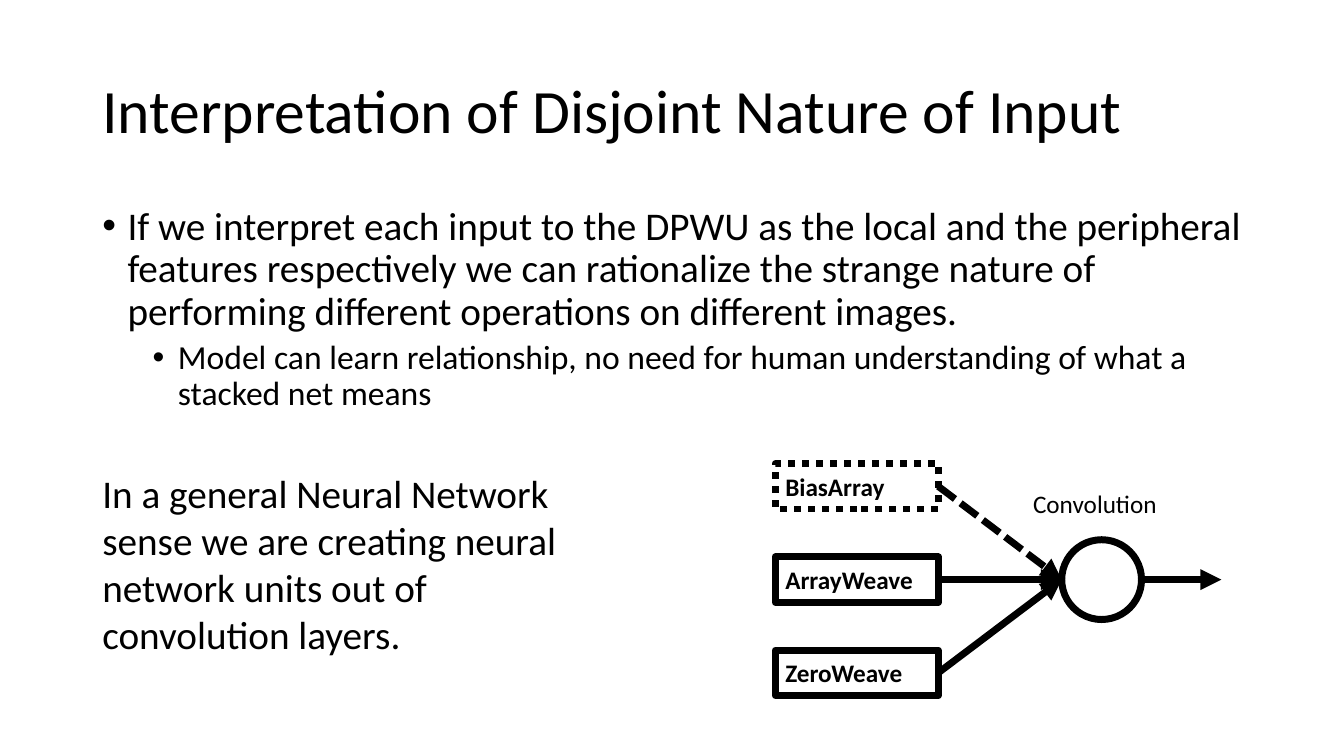
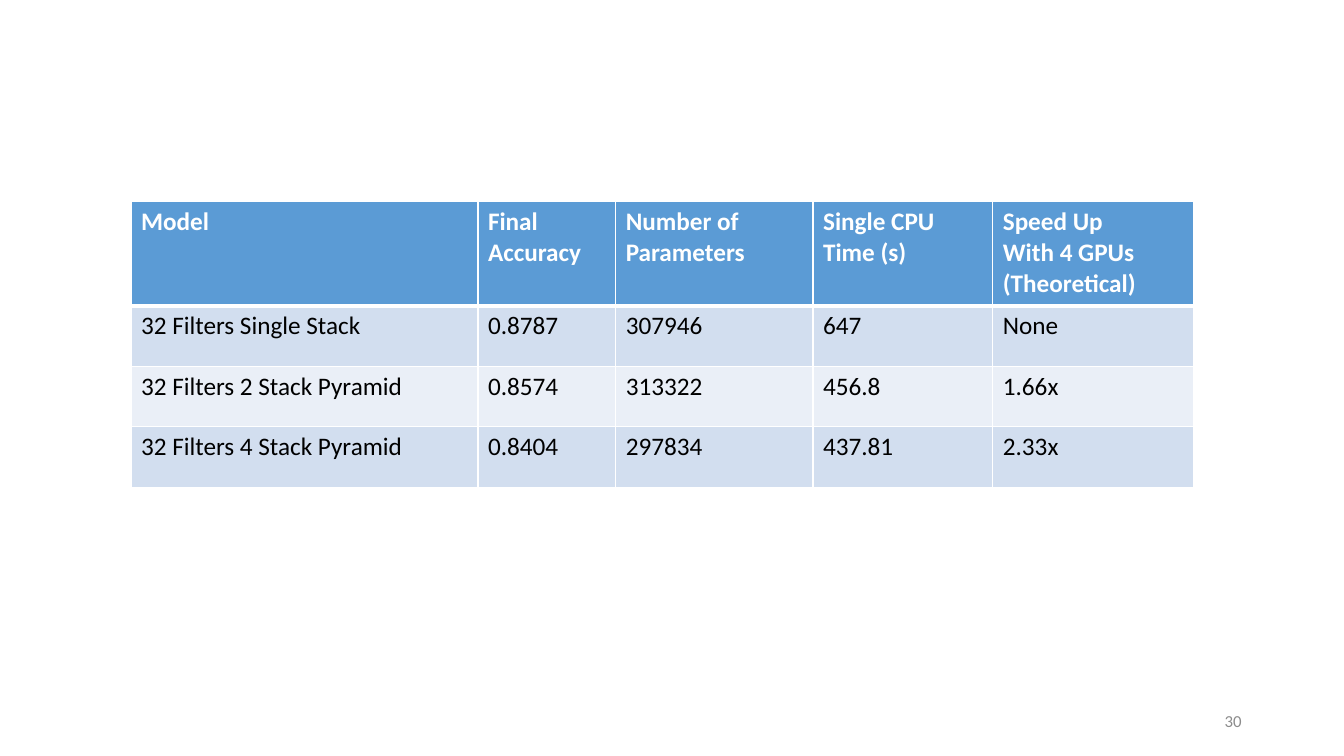
from lxml.etree import SubElement
from pptx import Presentation
from pptx.dml.color import RGBColor
from pptx.enum.dml import MSO_LINE
from pptx.enum.shapes import MSO_CONNECTOR, MSO_SHAPE
from pptx.enum.text import MSO_ANCHOR, PP_ALIGN
from pptx.oxml.ns import qn
from pptx.util import Inches, Pt

COLS, ROWS = 160, 90


def color(code):
    return RGBColor.from_string(code)


class Deck:
    font = "Calibri"
    ink, paper, gray = "000000", "FFFFFF", "8C8C8C"
    head, bands = "5B9BD5", ("D2DEEF", "EAEFF7")
    stroke = 5

    def __init__(self):
        self.prs = Presentation()
        self.prs.slide_width = Inches(13.33)
        self.prs.slide_height = Inches(7.5)

    def x(self, cols):
        return round(self.prs.slide_width * cols / COLS)

    def y(self, rows):
        return round(self.prs.slide_height * rows / ROWS)

    def area(self, left, top, width, height):
        return self.x(left), self.y(top), self.x(width), self.y(height)

    def page(self):
        self.slide = self.prs.slides.add_slide(self.prs.slide_layouts[6])

    def style(self, para, size, ink=None, bold=False):
        font = para.font
        font.name, font.size, font.bold = self.font, Pt(size), bold
        font.color.rgb = color(ink or self.ink)

    def text(self, area, words, size, ink=None, align=PP_ALIGN.LEFT,
             anchor=MSO_ANCHOR.TOP, lead=None):
        frame = self.slide.shapes.add_textbox(*self.area(*area)).text_frame
        frame.word_wrap = True
        frame.vertical_anchor = anchor
        para = frame.paragraphs[0]
        para.text, para.alignment, para.line_spacing = words, align, lead
        self.style(para, size, ink)
        return frame

    def title(self, words):
        self.text((11, 4.8, 138, 17.4), words, 44,
                  anchor=MSO_ANCHOR.MIDDLE, lead=0.9)

    def bullets(self, area, items):
        frame = self.text(area, "", 28)
        for i, (level, words) in enumerate(items):
            para = frame.add_paragraph() if i else frame.paragraphs[0]
            para.text, para.level, para.line_spacing = words, level, 0.9
            para.space_before = Pt(5 if level else 10)
            self.style(para, 28 - 4 * level)
            props = para._p.get_or_add_pPr()
            props.set("marL", str(Inches(0.25 + 0.5 * level)))
            props.set("indent", str(Inches(-0.25)))
            SubElement(props, qn("a:buFont")).set("typeface", "Arial")
            SubElement(props, qn("a:buChar")).set("char", "•")

    def number(self, words):
        self.text((113, 83.4, 36, 4.8), words, 12, self.gray,
                  PP_ALIGN.RIGHT, MSO_ANCHOR.MIDDLE)

    def pen(self, line, dash=None):
        line.color.rgb = color(self.ink)
        line.width = Pt(self.stroke)
        if dash:
            line.dash_style = dash

    def node(self, kind, area, words="", dash=None):
        shape = self.slide.shapes.add_shape(kind, *self.area(*area))
        shape.shadow.inherit = False
        shape.fill.background()
        self.pen(shape.line, dash)
        if words:
            frame = shape.text_frame
            frame.vertical_anchor = MSO_ANCHOR.MIDDLE
            para = frame.paragraphs[0]
            para.text, para.alignment = words, PP_ALIGN.LEFT
            self.style(para, 18, bold=True)

    def arrow(self, start, end, dash=None):
        link = self.slide.shapes.add_connector(
            MSO_CONNECTOR.STRAIGHT, self.x(start[0]), self.y(start[1]),
            self.x(end[0]), self.y(end[1]))
        self.pen(link.line, dash)
        SubElement(link.line._get_or_add_ln(), qn("a:tailEnd")).set("type", "triangle")
        SubElement(link._element.spPr, qn("a:effectLst"))

    def edge(self, cell, side, width):
        line = SubElement(cell._tc.get_or_add_tcPr(), qn("a:ln" + side))
        line.set("w", str(Pt(width)))
        fill = SubElement(line, qn("a:solidFill"))
        SubElement(fill, qn("a:srgbClr")).set("val", self.paper)

    def cell(self, cell, row, words):
        widths = {"L": 1, "R": 1, "T": 3 if row == 1 else 1, "B": 1 if row else 3}
        for side, width in widths.items():
            self.edge(cell, side, width)
        cell.fill.solid()
        cell.fill.fore_color.rgb = color(self.bands[(row - 1) % 2] if row else self.head)
        cell.text = words
        for para in cell.text_frame.paragraphs:
            self.style(para, 18, self.ink if row else self.paper, not row)

    def table(self, left, top, widths, heights, data):
        area = self.area(left, top, sum(widths), sum(heights))
        table = self.slide.shapes.add_table(len(heights), len(widths), *area).table
        for col, width in zip(table.columns, widths):
            col.width = self.x(width)
        for row, height in zip(table.rows, heights):
            row.height = self.y(height)
        for r, line in enumerate(data):
            for c, words in enumerate(line):
                self.cell(table.cell(r, c), r, words)


def network(deck):
    left, top, wide, high, step = 92.3, 55.2, 19.4, 5.4, 11.1
    right, mid = left + wide, top + step + high / 2
    hub, size = 126.4, 9.5
    inputs = (
        ("BiasArray", MSO_LINE.ROUND_DOT, MSO_LINE.SQUARE_DOT),
        ("ArrayWeave", None, None),
        ("ZeroWeave", None, None),
    )
    deck.node(MSO_SHAPE.OVAL, (hub, mid - size / 2, size, size))
    for i, (name, frame, dash) in enumerate(inputs):
        y = top + i * step
        deck.node(MSO_SHAPE.RECTANGLE, (left, y, wide, high), name, frame)
        deck.arrow((right, y + high / 2), (hub, mid), dash)
    deck.arrow((hub + size, mid), (145.4, mid))
    deck.text((121.8, 57.6, 18.6, 4.8), "Convolution", 18)


def main():
    deck = Deck()

    deck.page()
    deck.title("Interpretation of Disjoint Nature of Input")
    deck.bullets((11, 24, 138, 27.4), (
        (0, "If we interpret each input to the DPWU as the local and the "
            "peripheral features respectively we can rationalize the strange "
            "nature of performing different operations on different images."),
        (1, "Model can learn relationship, no need for human understanding "
            "of what a stacked net means"),
    ))
    deck.text((11, 55.3, 57.1, 27.5),
              "In a general Neural Network sense we are creating neural "
              "network units out of convolution layers.", 28)
    network(deck)

    deck.page()
    deck.number("30")
    deck.table(15.6, 24, (41.3, 16.4, 23.5, 21.4, 23.9), (12.4, 7.2, 7.2, 7.2), (
        ("Model", "Final Accuracy", "Number of Parameters",
         "Single CPU Time (s)", "Speed Up\nWith 4 GPUs\n(Theoretical)"),
        ("32 Filters Single Stack", "0.8787", "307946", "647", "None"),
        ("32 Filters 2 Stack Pyramid", "0.8574", "313322", "456.8", "1.66x"),
        ("32 Filters 4 Stack Pyramid", "0.8404", "297834", "437.81", "2.33x"),
    ))

    deck.prs.save("out.pptx")


if __name__ == "__main__":
    main()
